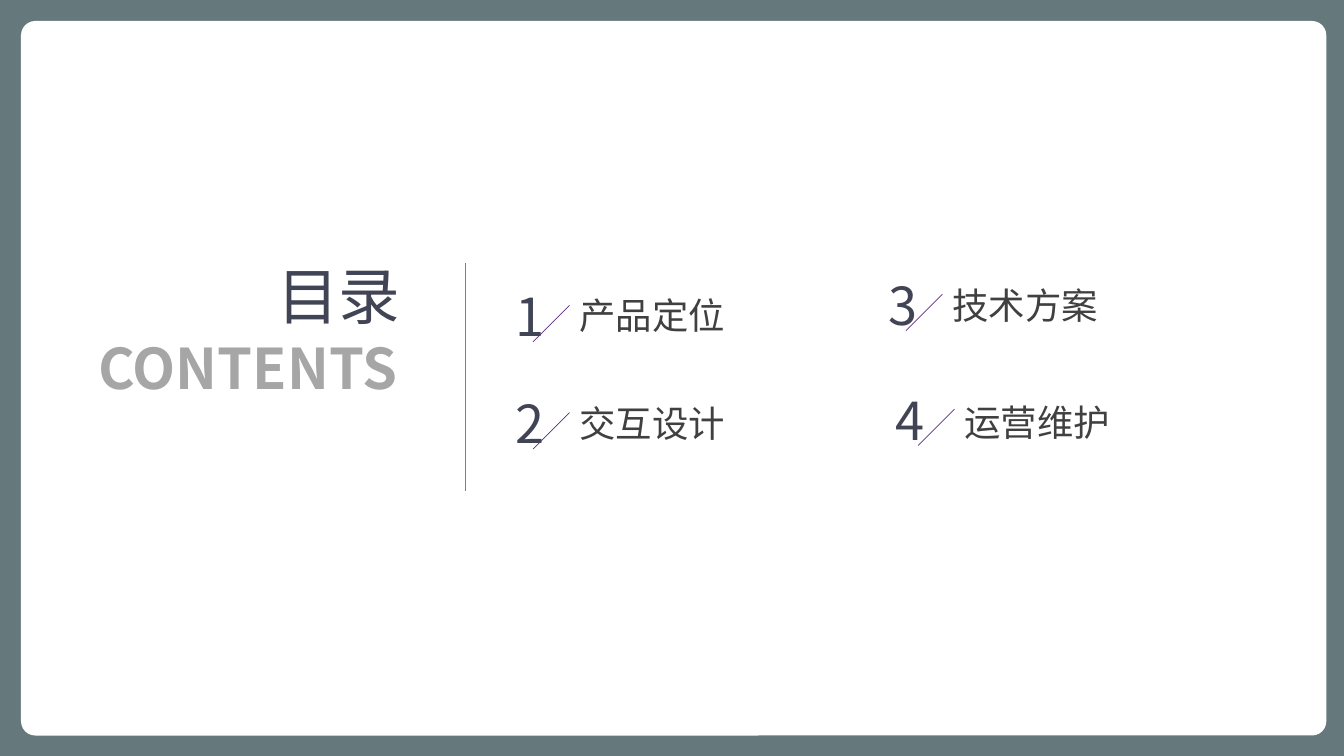
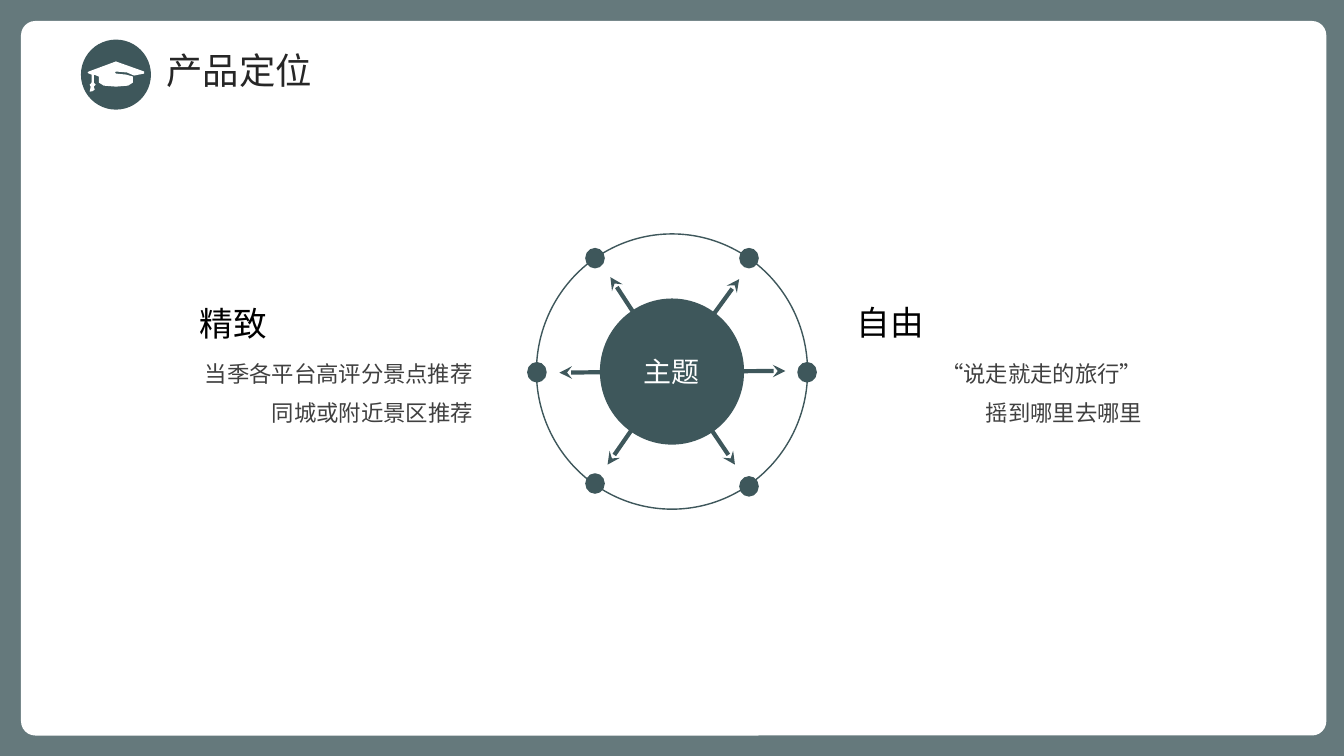
from dataclasses import dataclass

from lxml import etree
from pptx import Presentation
from pptx.dml.color import RGBColor
from pptx.enum.shapes import MSO_CONNECTOR as Connector, MSO_SHAPE as Shape
from pptx.enum.text import MSO_ANCHOR as Anchor, MSO_AUTO_SIZE as AutoSize, PP_ALIGN as Align
from pptx.oxml.ns import qn
from pptx.util import Pt


@dataclass(frozen=True)
class Theme:
    backdrop: str = "65797C"
    teal: str = "3E575B"
    white: str = "FFFFFF"
    navy: str = "414455"
    silver: str = "A6A6A6"
    grey: str = "808080"
    purple: str = "5C307D"
    ink: str = "262626"
    body: str = "404040"
    black: str = "000000"
    cjk: str = "Noto Sans CJK SC"
    latin: str = "Arial"
    contents: float = 44
    subtitle: float = 40
    number: float = 37.4
    title: float = 26
    heading: float = 24
    hub: float = 20
    note: float = 16


THEME = Theme()

# Content: number, label, number position, label position
CHAPTERS = [
    ("1", "产品定位", (360, 199.5), (406.8, 206)),
    ("2", "交互设计", (360, 276), (406.8, 283)),
    ("3", "技术方案", (626.4, 191.5), (673.2, 198.5)),
    ("4", "运营维护", (631.4, 273.6), (681.8, 282.2)),
]
# Heading, its position, left edge of the notes, notes
THEMES = [
    ("精致", (135.4, 213), 129.6, ["当季各平台高评分景点推荐", "同城或附近景区推荐"]),
    ("自由", (604.8, 212), 607.7, ["“说走就走的旅行”", "摇到哪里去哪里"]),
]

# Wheel geometry: offsets from its centre
WHEEL_CENTRE = (480, 265.4)
DOTS = [(55, -81), (-55, -81), (-96.5, 0.5), (96.5, 0.5), (55, 82), (-55, 80)]
ARROW_TIPS = [(48, -66), (81, -0.4), (-44, -67.4), (-80.4, 0.8), (-46, 66.5), (45, 66.5)]

# Graduation cap outline, in tenths of a point
CAP = [
    (634, 511), (828, 439), (1030, 511), (1030, 526), (958, 540), (907, 518),
    (828, 511), (821, 518), (828, 526), (900, 533), (950, 547), (950, 590),
    (915, 612), (828, 619), (741, 612), (706, 590), (706, 547), (670, 533),
    (670, 590), (684, 605), (670, 619), (677, 641), (660, 652), (641, 655),
    (648, 619), (641, 605), (655, 590), (655, 533), (634, 526), (626, 518),
]


def rgb(value):
    return RGBColor.from_string(value)


def write(box, lines, size, color, align=Align.LEFT, font=THEME.cjk,
          bold=False, spacing=None, anchor=Anchor.TOP):
    frame = box.text_frame
    frame.text = "\n".join(lines)
    frame.word_wrap = True
    frame.auto_size = AutoSize.NONE
    frame.vertical_anchor = anchor
    for para in frame.paragraphs:
        para.alignment = align
        if spacing:
            para.line_spacing = Pt(spacing)
        para.font.size = Pt(size)
        para.font.bold = bold
        para.font.color.rgb = rgb(color)
        para.font.name = font
    # East Asian text needs its own typeface entry
    for latin in list(box.element.iter(qn("a:latin"))):
        east_asian = etree.Element(qn("a:ea"), typeface=THEME.cjk)
        latin.addnext(east_asian)


def add_text(page, at, size, lines, points, color, **style):
    box = page.shapes.add_textbox(*map(Pt, (*at, *size)))
    write(box, lines, points, color, **style)


def set_title(page, at, size, text, points, color):
    title = page.shapes.title
    title.left, title.top, title.width, title.height = map(Pt, (*at, *size))
    write(title, [text], points, color)


def paint(shape, fill=None, line=None):
    shape.shadow.inherit = False
    if fill:
        shape.fill.solid()
        shape.fill.fore_color.rgb = rgb(fill)
    else:
        shape.fill.background()
    if line:
        shape.line.color.rgb = rgb(line)
        shape.line.width = Pt(1)
    else:
        shape.line.fill.background()
    return shape


def add_oval(page, centre, size, fill=None, line=None):
    (x, y), (width, height) = centre, size
    oval = page.shapes.add_shape(
        Shape.OVAL, Pt(x - width / 2), Pt(y - height / 2), Pt(width), Pt(height))
    return paint(oval, fill, line)


def add_line(page, start, end, color, width, arrow=False):
    line = page.shapes.add_connector(Connector.STRAIGHT, *map(Pt, (*start, *end)))
    line.line.color.rgb = rgb(color)
    line.line.width = Pt(width)
    if arrow:
        etree.SubElement(line.line._get_or_add_ln(), qn("a:tailEnd"), type="stealth")
    etree.SubElement(line.element.spPr, qn("a:effectLst"))


def add_frame(deck, layout, page):
    """Teal backdrop on the master, white panel on the shared layout."""
    backdrop = deck.slide_master.background.fill
    backdrop.solid()
    backdrop.fore_color.rgb = rgb(THEME.backdrop)
    panel = page.shapes.add_shape(
        Shape.ROUNDED_RECTANGLE, Pt(15), Pt(15), Pt(932.4), Pt(510.4))
    panel.adjustments[0] = 0.02
    paint(panel, THEME.white)
    panel.element.nvSpPr.cNvPr.id = 99
    layout.shapes.element.insert(2, panel.element)


def build_contents(page):
    set_title(page, (190.8, 180.7), (120, 60.5), "目录", THEME.contents, THEME.navy)
    add_text(page, (26.6, 234.7), (264.2, 55.4), ["CONTENTS"], THEME.subtitle,
             THEME.silver, align=Align.RIGHT, bold=True)
    add_line(page, (332.6, 188), (332.6, 350.6), THEME.grey, 0.5)

    for number, label, (x, y), label_at in CHAPTERS:
        add_text(page, label_at, (150, 38.9), [label], THEME.title, THEME.body)
        add_text(page, (x, y), (37.4, 52.6), [number], THEME.number, THEME.navy,
                 align=Align.CENTER)
        slash_x, slash_y = label_at[0], y + 18.7
        add_line(page, (slash_x, slash_y), (slash_x - 26, slash_y + 26),
                 THEME.purple, 0.5)


def build_positioning(page):
    set_title(page, (111.6, 31), (180.7, 38.9), "产品定位", THEME.title, THEME.ink)

    # Title badge
    add_oval(page, (82.8, 53.3), (49, 49), THEME.teal, THEME.teal)
    outline = page.shapes.build_freeform(*CAP[0], scale=Pt(0.1))
    outline.add_line_segments(CAP[1:], close=True)
    paint(outline.convert_to_shape(), THEME.white)

    # Wheel: ring, dots, arrows, hub
    x, y = WHEEL_CENTRE
    add_oval(page, WHEEL_CENTRE, (193.7, 196.6), line=THEME.teal)
    for dx, dy in DOTS:
        add_oval(page, (x + dx, y + dy), (13, 13.7), THEME.teal, THEME.teal)
    for dx, dy in ARROW_TIPS:
        add_line(page, WHEEL_CENTRE, (x + dx, y + dy), THEME.teal, 3, arrow=True)
    hub = add_oval(page, WHEEL_CENTRE, (103, 104.4), THEME.teal)
    write(hub, ["主题"], THEME.hub, THEME.white, align=Align.CENTER,
          anchor=Anchor.MIDDLE)

    # Side texts
    for heading, heading_at, notes_x, notes in THEMES:
        add_text(page, heading_at, (90, 36), [heading], THEME.heading, THEME.black)
        add_text(page, (notes_x, 244.8), (215.3, 64), notes, THEME.note, THEME.body,
                 align=Align.RIGHT, font=THEME.latin, spacing=28.1)


def main():
    deck = Presentation()
    deck.slide_width, deck.slide_height = Pt(960), Pt(540)
    layout = deck.slide_layouts.get_by_name("Title Only")
    contents, positioning = (deck.slides.add_slide(layout) for _ in range(2))
    add_frame(deck, layout, contents)
    build_contents(contents)
    build_positioning(positioning)
    deck.save("out.pptx")


if __name__ == "__main__":
    main()
